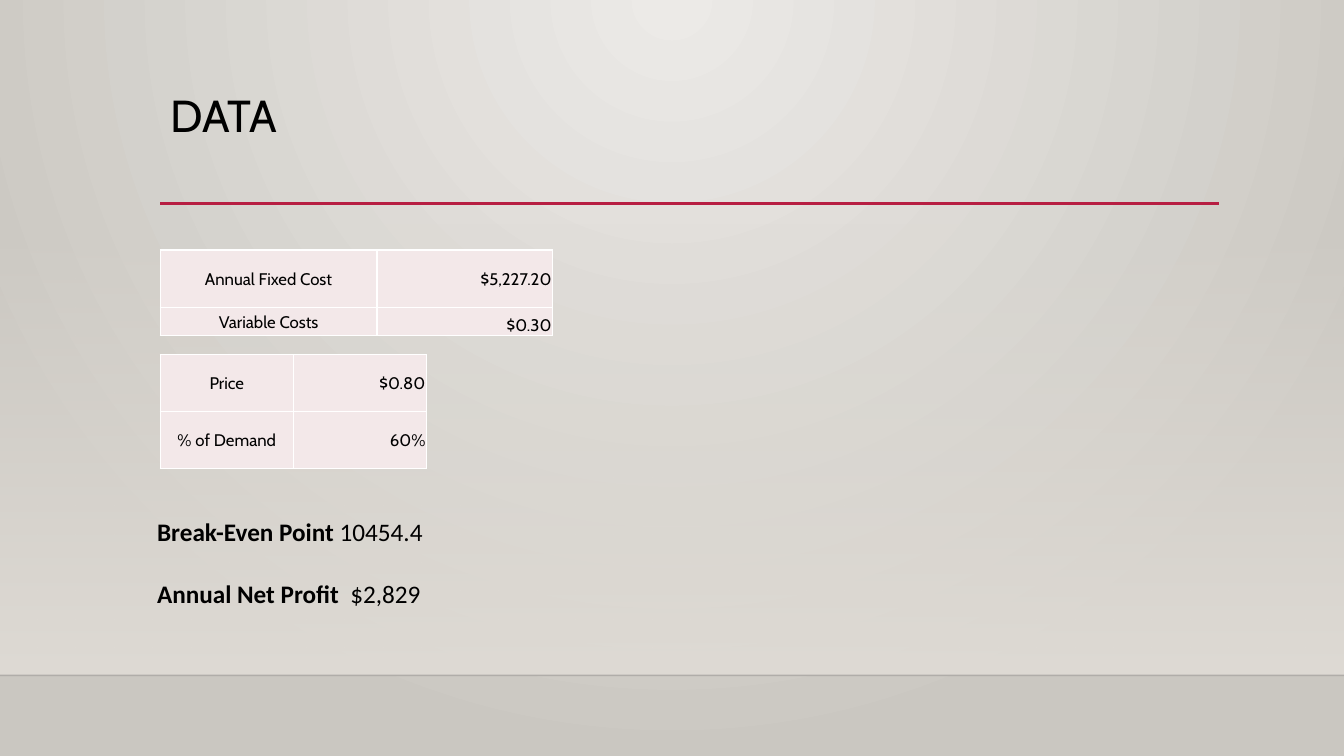
from lxml.etree import SubElement
from pptx import Presentation
from pptx.dml.color import RGBColor
from pptx.enum.shapes import MSO_CONNECTOR as Connector, MSO_SHAPE as Shape
from pptx.enum.text import MSO_ANCHOR as Anchor, PP_ALIGN as Align
from pptx.oxml import parse_xml
from pptx.oxml.ns import nsdecls, qn
from pptx.util import Cm, Pt

WIDTH, HEIGHT = 33.87, 19.05
LEFT, RIGHT = 4.04, 30.73
FLOOR = 17.02


def colour(value):
    """Turn a hex string into a colour."""
    return RGBColor.from_string(value)


def add_span(para, text, size, font, bold=False):
    """Add one black run to a paragraph."""
    span = para.add_run()
    span.text = text
    span.font.size = Pt(size)
    span.font.name = font
    span.font.bold = bold
    span.font.color.rgb = colour("000000")


def set_gradient(fill, start, end):
    """Give a fill two gradient stops."""
    fill.gradient()
    for stop, value in zip(fill.gradient_stops, (start, end)):
        stop.color.rgb = colour(value)


def set_alpha(element, percent):
    """Make the first colour inside an element partly transparent."""
    tint = next(element.iter(qn("a:srgbClr")))
    SubElement(tint, qn("a:alpha")).set("val", str(percent * 1000))


def add_rule(page, left, right, top, value, weight):
    """Draw a level line and return it."""
    rule = page.shapes.add_connector(Connector.STRAIGHT, Cm(left), Cm(top), Cm(right), Cm(top))
    rule.line.color.rgb = colour(value)
    rule.line.width = Pt(weight)
    SubElement(rule.element.spPr, qn("a:effectLst"))
    return rule


def add_backdrop(page):
    """Lay the radial background, the fading wall and its floor line."""
    set_gradient(page.background.fill, "ECEAE7", "CAC7C1")
    gradient = next(page.element.iter(qn("a:gradFill")))
    gradient.replace(gradient.find(qn("a:lin")), parse_xml(
        f'<a:path {nsdecls("a")} path="circle">'
        '<a:fillToRect l="43000" t="0" r="43000" b="100000"/></a:path>'))
    height = 11.4
    wall = page.shapes.add_shape(Shape.RECTANGLE, 0, Cm(FLOOR - height), Cm(WIDTH), Cm(height))
    wall.shadow.inherit = False
    wall.line.fill.background()
    set_gradient(wall.fill, "DFDBD5", "DFDBD5")
    wall.fill.gradient_angle = 270
    set_alpha(wall.element.spPr, 0)
    edge = add_rule(page, 0, WIDTH, FLOOR, "000001", 1)
    set_alpha(edge.element.spPr, 20)


def add_heading(page, left, top, width, height, text):
    """Place the title and the red line beneath it."""
    title = page.shapes.title
    title.left, title.top, title.width, title.height = map(Cm, (left, top, width, height))
    title.text_frame.vertical_anchor = Anchor.TOP
    para = title.text_frame.paragraphs[0]
    para.alignment = Align.LEFT
    para.line_spacing = 0.9
    add_span(para, text, 32, "Cabin")
    add_rule(page, left, RIGHT, 5.13, "B71E42", 2.5)


def format_cell(cell, text, align, anchor):
    """Fill, border and write one table cell."""
    cell.fill.solid()
    cell.fill.fore_color.rgb = colour("F3E8E9")
    cell.margin_left = cell.margin_right = cell.margin_top = Cm(0.02)
    cell.margin_bottom = 0
    cell.vertical_anchor = anchor
    para = cell.text_frame.paragraphs[0]
    para.alignment = align
    add_span(para, text, 12, "Cabin")
    for place, side in enumerate(("lnL", "lnR", "lnT", "lnB")):
        cell._tc.tcPr.insert(place, parse_xml(
            f'<a:{side} {nsdecls("a")} w="12700"><a:solidFill>'
            f'<a:srgbClr val="FFFFFF"/></a:solidFill></a:{side}>'))


def add_figures(page, left, top, widths, heights, rows):
    """Build a table of labels and amounts."""
    frame = page.shapes.add_table(len(rows), len(widths), Cm(left), Cm(top),
                                  Cm(sum(widths)), Cm(sum(heights)))
    table = frame.table
    table.first_row = table.horz_banding = False
    for column, width in zip(table.columns, widths):
        column.width = Cm(width)
    for index, (height, (label, amount, anchor)) in enumerate(zip(heights, rows)):
        table.rows[index].height = Cm(height)
        format_cell(table.cell(index, 0), label, Align.CENTER, Anchor.MIDDLE)
        format_cell(table.cell(index, 1), amount, Align.RIGHT, anchor)


def add_result(page, left, top, width, height, label, amount):
    """Write a bold label followed by its amount."""
    box = page.shapes.add_textbox(Cm(left), Cm(top), Cm(width), Cm(height))
    box.text_frame.word_wrap = True
    para = box.text_frame.paragraphs[0]
    add_span(para, label, 18, "Calibri", bold=True)
    add_span(para, amount, 18, "Calibri")


def main():
    """Build and save the deck."""
    deck = Presentation()
    deck.slide_width, deck.slide_height = Cm(WIDTH), Cm(HEIGHT)
    page = deck.slides.add_slide(deck.slide_layouts[5])
    add_backdrop(page)
    add_heading(page, LEFT, 2.24, 26.67, 2.92, "DATA")
    add_figures(page, LEFT, 6.3, (5.46, 4.42), (1.45, 0.71), (
        ("Annual Fixed Cost", "$5,227.20", Anchor.MIDDLE),
        ("Variable Costs", "$0.30", Anchor.BOTTOM)))
    add_figures(page, LEFT, 8.94, (3.35, 3.35), (1.43, 1.43), (
        ("Price", "$0.80", Anchor.MIDDLE),
        ("% of Demand", "60%", Anchor.MIDDLE)))
    results = (("Break-Even Point ", "10454.4"), ("Annual Net Profit ", " $2,829"))
    for index, (label, amount) in enumerate(results):
        add_result(page, 3.71, 12.88 + index * 1.58, 16.94, 1.02, label, amount)
    deck.save("out.pptx")


if __name__ == "__main__":
    main()
